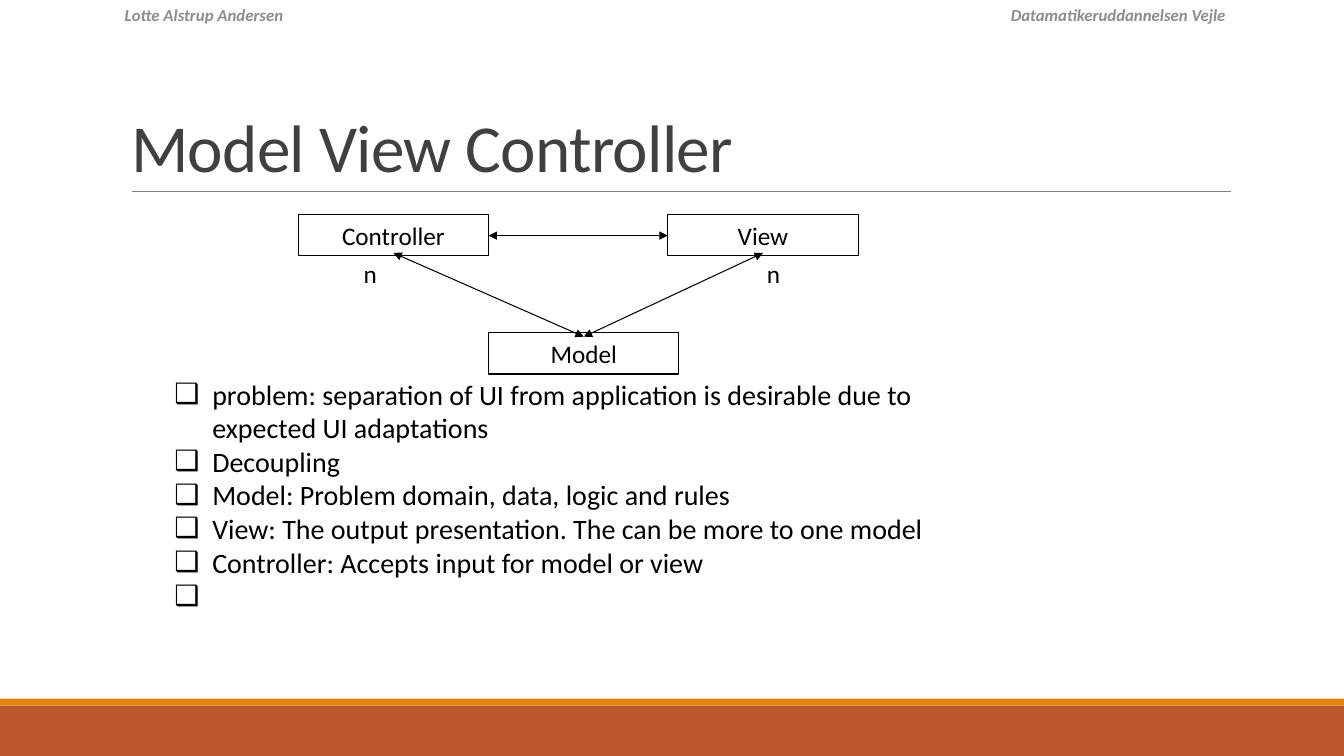
from pptx import Presentation
from pptx.dml.color import RGBColor
from pptx.enum.shapes import MSO_CONNECTOR, MSO_SHAPE
from pptx.enum.text import MSO_ANCHOR, MSO_AUTO_SIZE, PP_ALIGN
from pptx.oxml.ns import qn
from pptx.util import Pt
from lxml.etree import SubElement

FONT = "Calibri"
BLACK = "000000"
BOX_WIDTH, BOX_HEIGHT = 136, 29.6
POINTS = [
    "problem: separation of UI from application is desirable due to expected UI adaptations",
    "Decoupling",
    "Model: Problem domain, data, logic and rules",
    "View: The output presentation. The can be more to one model",
    "Controller: Accepts input for model or view",
    " ",
]


def color(value):
    return RGBColor.from_string(value)


def place(shape, left, top, width, height):
    shape.left, shape.top = Pt(left), Pt(top)
    shape.width, shape.height = Pt(width), Pt(height)


def write(para, text, size=18, fill=BLACK, bold=False, italic=False, align=PP_ALIGN.LEFT):
    para.alignment = align
    span = para.add_run()
    span.text = text
    span.font.name = FONT
    span.font.size = Pt(size)
    span.font.bold = bold
    span.font.italic = italic
    span.font.color.rgb = color(fill)
    return span


def add_rectangle(page, left, top, width, height, fill, line=None):
    box = page.shapes.add_shape(MSO_SHAPE.RECTANGLE, Pt(left), Pt(top), Pt(width), Pt(height))
    box.shadow.inherit = False
    box.fill.solid()
    box.fill.fore_color.rgb = color(fill)
    if line:
        box.line.color.rgb = color(line)
        box.line.width = Pt(0.75)
    else:
        box.line.fill.background()
    return box


def add_node(page, text, left, top):
    box = add_rectangle(page, left, top, BOX_WIDTH, BOX_HEIGHT, "FFFFFF", BLACK)
    box.text_frame.vertical_anchor = MSO_ANCHOR.MIDDLE
    write(box.text_frame.paragraphs[0], text, align=PP_ALIGN.CENTER)


def add_label(page, text, left, top, width, height, wrap=True, **style):
    box = page.shapes.add_textbox(Pt(left), Pt(top), Pt(width), Pt(height))
    box.text_frame.word_wrap = wrap
    write(box.text_frame.paragraphs[0], text, **style)


def add_line(page, start, end, stroke=BLACK, width=0.75, arrows=False):
    line = page.shapes.add_connector(MSO_CONNECTOR.STRAIGHT, *map(Pt, start + end))
    line.line.color.rgb = color(stroke)
    line.line.width = Pt(width)
    properties = line.line._get_or_add_ln()
    if arrows:
        for tag in ("a:headEnd", "a:tailEnd"):
            SubElement(properties, qn(tag), type="triangle")
    SubElement(line._element.spPr, qn("a:effectLst"))


def fill_title(title, text):
    place(title, 86.4, 22.3, 792, 114.5)
    frame = title.text_frame
    frame.auto_size = MSO_AUTO_SIZE.NONE
    frame.vertical_anchor = MSO_ANCHOR.BOTTOM
    para = frame.paragraphs[0]
    para.line_spacing = 0.85
    span = write(para, text, size=48, fill="404040")
    span.font._element.set("spc", "-50")


def fill_list(body, items):
    place(body, 117.4, 265.7, 564.5, 198.7)
    frame = body.text_frame
    frame.auto_size = MSO_AUTO_SIZE.NONE
    for index, item in enumerate(items):
        para = frame.add_paragraph() if index else frame.paragraphs[0]
        para.space_before = Pt(0)
        write(para, item, size=20)
        properties = para._p.get_or_add_pPr()
        properties.set("marL", str(Pt(27)))
        properties.set("indent", str(Pt(-27)))
        SubElement(properties, qn("a:buChar"), char="❑")


def add_frame(page):
    add_rectangle(page, 0, 504, 960, 36, "BD582C")
    add_rectangle(page, 0, 499, 960, 5, "E48312")
    add_line(page, (94.3, 136.8), (879.1, 136.8), "808080", 0.5)
    style = dict(size=12, fill="8C8C8C", bold=True, italic=True)
    add_label(page, "Lotte Alstrup Andersen", 82, 0, 221, 21, **style)
    add_label(page, "Datamatikeruddannelsen Vejle", 661.7, 0, 221, 21,
              align=PP_ALIGN.RIGHT, **style)


def add_diagram(page):
    add_node(page, "Model", 349, 237.6)
    add_node(page, "View", 477, 153.3)
    add_node(page, "Controller", 213, 153.3)
    controller, model, view = (281, 180.7), (417, 240.5), (545, 180.7)
    for start, end in ((controller, model), (model, view), ((349, 168.3), (477, 168.3))):
        add_line(page, start, end, arrows=True)
    for left in (540.7, 252.7):
        add_label(page, "n", left, 180.7, 22.5, 29, wrap=False)


def main():
    deck = Presentation()
    deck.slide_width, deck.slide_height = Pt(960), Pt(540)
    page = deck.slides.add_slide(deck.slide_layouts[1])
    add_frame(page)
    fill_title(page.shapes.title, "Model View Controller")
    fill_list(page.placeholders[1], POINTS)
    add_diagram(page)
    deck.save("out.pptx")


if __name__ == "__main__":
    main()
